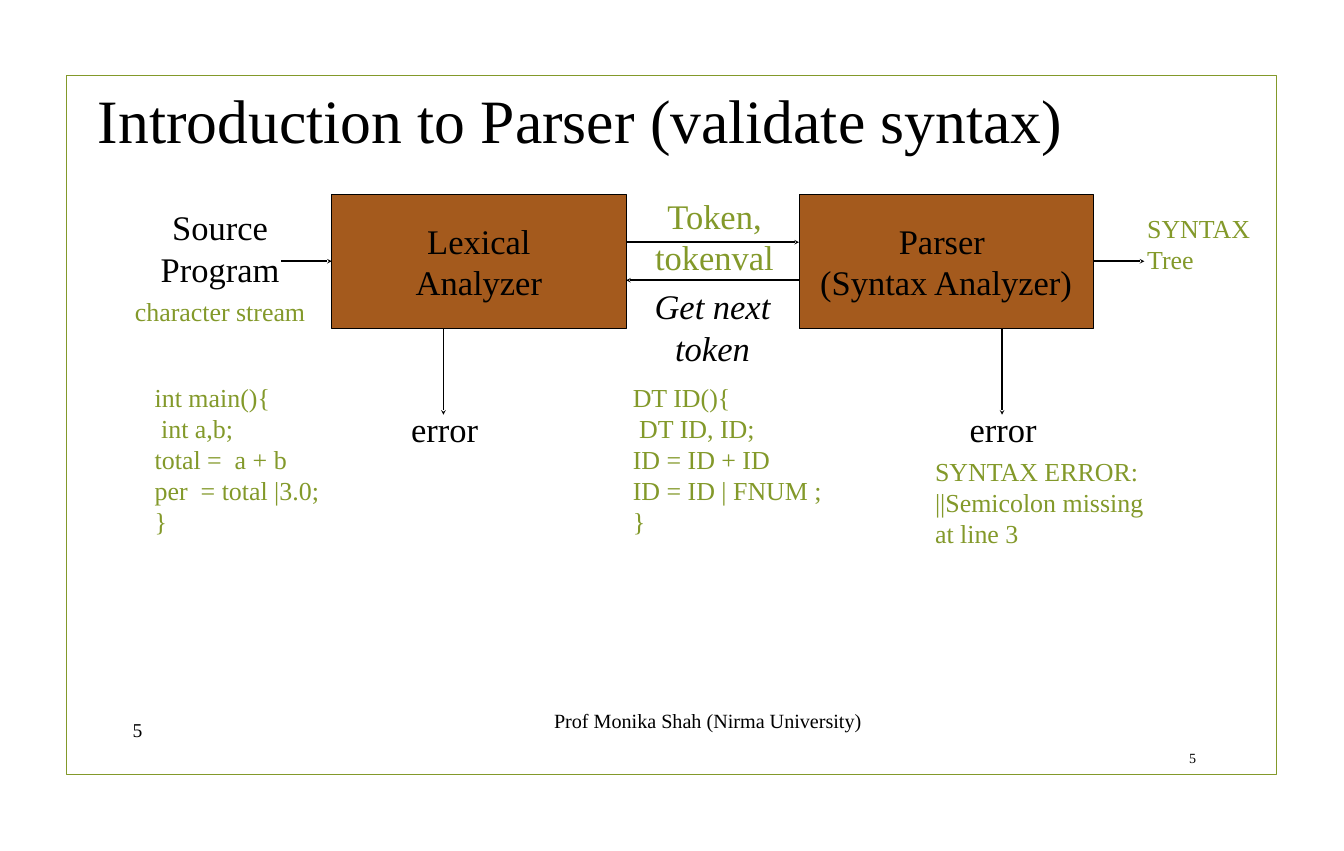
"""Build the slide that introduces the parser and its place after the lexical analyzer."""
import pptx
import pptx.dml.color
import pptx.enum.shapes
import pptx.enum.text
import pptx.util
from lxml import etree
from pptx.oxml.ns import qn

Inches = pptx.util.Inches
Pt = pptx.util.Pt
ALIGN = pptx.enum.text.PP_ALIGN
ANCHOR = pptx.enum.text.MSO_ANCHOR
RECTANGLE = pptx.enum.shapes.MSO_SHAPE.RECTANGLE

FONT = "Times New Roman"
BLACK, GREEN, BROWN = "000000", "83992A", "A45A1D"
LABEL_SIZE, NOTE_SIZE = 43.8, 32.9

FRAME = (1.18, 1.33, 21.33, 12.33)
STAGE_TOP, STAGE_WIDTH, STAGE_HEIGHT = 3.42, 5.19, 2.37
LEXER_LEFT, PARSER_LEFT = 5.85, 14.09
LEXER_RIGHT, PARSER_RIGHT = LEXER_LEFT + STAGE_WIDTH, PARSER_LEFT + STAGE_WIDTH
STAGE_BOTTOM = STAGE_TOP + STAGE_HEIGHT
STAGE_MIDDLE = STAGE_TOP + STAGE_HEIGHT / 2
FLOW_OFFSET = 0.335
ERROR_TOP, ERROR_WIDTH, ERROR_TIP = 7.14, 1.4, 7.31
ERROR_CENTRES = (7.82, 17.67)

STAGES = [
    (LEXER_LEFT, ["Lexical\vAnalyzer"]),
    (PARSER_LEFT, ["Parser ", "(Syntax Analyzer)"]),
]

LABELS = [
    ((2.72, 3.59, 2.32, 1.58), "Source\vProgram", LABEL_SIZE, BLACK, False),
    ((11.44, 3.38, 2.32, 1.58), "Token,\vtokenval", LABEL_SIZE, GREEN, False),
    ((11.43, 4.98, 2.27, 1.58), "Get next\vtoken", LABEL_SIZE, BLACK, True),
    ((2.26, 5.16, 3.24, 0.65), "character stream", NOTE_SIZE, GREEN, False),
]

NOTES = [
    ((2.63, 6.67, 4.16, 3.42),
     ["int main(){", " int a,b;", "total =  a + b", "per  = total |3.0;", "}"]),
    ((11.06, 6.67, 4.16, 3.42),
     ["DT ID(){", " DT ID, ID;", "ID = ID + ID", "ID = ID | FNUM ;", "}"]),
    ((16.39, 7.98, 4.16, 1.76), ["SYNTAX ERROR:", "||Semicolon missing at line 3"]),
    ((20.13, 3.69, 4.16, 1.21), ["SYNTAX", "Tree"]),
]

TITLE = ((1.63, 1.54, 20.44, 2.58), "Introduction to Parser (validate syntax)", 78.2)

FOOTERS = [
    ((9.6, 12.43, 5.69, 0.54), "Prof Monika Shah (Nirma University)", 25.6,
     ALIGN.RIGHT, ANCHOR.MIDDLE),
    ((2.24, 12.61, 0.96, 0.49), "5", 24.9, ALIGN.LEFT, ANCHOR.TOP),
    ((20.13, 13.06, 1.06, 0.61), "5", 17.8, ALIGN.RIGHT, ANCHOR.MIDDLE),
]

ARROWS = [
    (LEXER_RIGHT, STAGE_MIDDLE - FLOW_OFFSET, PARSER_LEFT, STAGE_MIDDLE - FLOW_OFFSET),
    (PARSER_LEFT, STAGE_MIDDLE + FLOW_OFFSET, LEXER_RIGHT, STAGE_MIDDLE + FLOW_OFFSET),
    (PARSER_RIGHT, STAGE_MIDDLE, 20.18, STAGE_MIDDLE),
    (4.96, STAGE_MIDDLE, LEXER_LEFT, STAGE_MIDDLE),
] + [(centre, STAGE_BOTTOM, centre, ERROR_TIP) for centre in ERROR_CENTRES]


def color(code):
    return pptx.dml.color.RGBColor.from_string(code)


def write(shape, lines, size, ink=BLACK, align=ALIGN.LEFT, anchor=ANCHOR.TOP,
          wrap=True, italic=False, spacing=None):
    frame = shape.text_frame
    frame.word_wrap = wrap
    frame.vertical_anchor = anchor
    for index, line in enumerate(lines):
        para = frame.add_paragraph() if index else frame.paragraphs[0]
        para.alignment = align
        if spacing:
            para.line_spacing = spacing
        for part, words in enumerate(line.split("\v")):
            if part:
                para.add_line_break()
            span = para.add_run()
            span.text = words
            span.font.name = FONT
            span.font.size = Pt(size)
            span.font.italic = italic
            span.font.color.rgb = color(ink)
        for line_break in para._p.findall(qn("a:br")):
            etree.SubElement(line_break, qn("a:rPr"), sz=str(round(size * 100)))


def add_text(slide, place, lines, size, **style):
    box = slide.shapes.add_textbox(*map(Inches, place))
    write(box, lines, size, **style)


def add_rectangle(slide, place, line, width, fill=None):
    shape = slide.shapes.add_shape(RECTANGLE, *map(Inches, place))
    shape.shadow.inherit = False
    if fill:
        shape.fill.solid()
        shape.fill.fore_color.rgb = color(fill)
    else:
        shape.fill.background()
    shape.line.color.rgb = color(line)
    shape.line.width = Pt(width)
    return shape


def add_arrow(slide, ends):
    straight = pptx.enum.shapes.MSO_CONNECTOR.STRAIGHT
    arrow = slide.shapes.add_connector(straight, *map(Inches, ends))
    arrow.line.color.rgb = color(BLACK)
    arrow.line.width = Pt(2)
    etree.SubElement(arrow.line._get_or_add_ln(), qn("a:tailEnd"), type="stealth")
    etree.SubElement(arrow._element.spPr, qn("a:effectLst"))


def main():
    deck = pptx.Presentation()
    deck.slide_width, deck.slide_height = Inches(23.7), Inches(15)
    slide = deck.slides.add_slide(deck.slide_layouts[6])

    add_rectangle(slide, FRAME, GREEN, 1.25)
    for left, lines in STAGES:
        place = (left, STAGE_TOP, STAGE_WIDTH, STAGE_HEIGHT)
        stage = add_rectangle(slide, place, BLACK, 0.75, BROWN)
        write(stage, lines, LABEL_SIZE, align=ALIGN.CENTER, anchor=ANCHOR.MIDDLE, wrap=False)
    for ends in ARROWS:
        add_arrow(slide, ends)
    errors = [((centre + 0.02 - ERROR_WIDTH / 2, ERROR_TOP, ERROR_WIDTH, 0.84),
               "error", LABEL_SIZE, BLACK, False) for centre in ERROR_CENTRES]
    for place, text, size, ink, italic in LABELS + errors:
        add_text(slide, place, [text], size, ink=ink, italic=italic,
                 align=ALIGN.CENTER, wrap=False)
    for place, lines in NOTES:
        add_text(slide, place, lines, NOTE_SIZE, ink=GREEN)
    for place, text, size, align, anchor in FOOTERS:
        add_text(slide, place, [text], size, align=align, anchor=anchor)
    place, text, size = TITLE
    add_text(slide, place, [text], size, spacing=0.9)

    deck.save("out.pptx")


if __name__ == "__main__":
    main()
